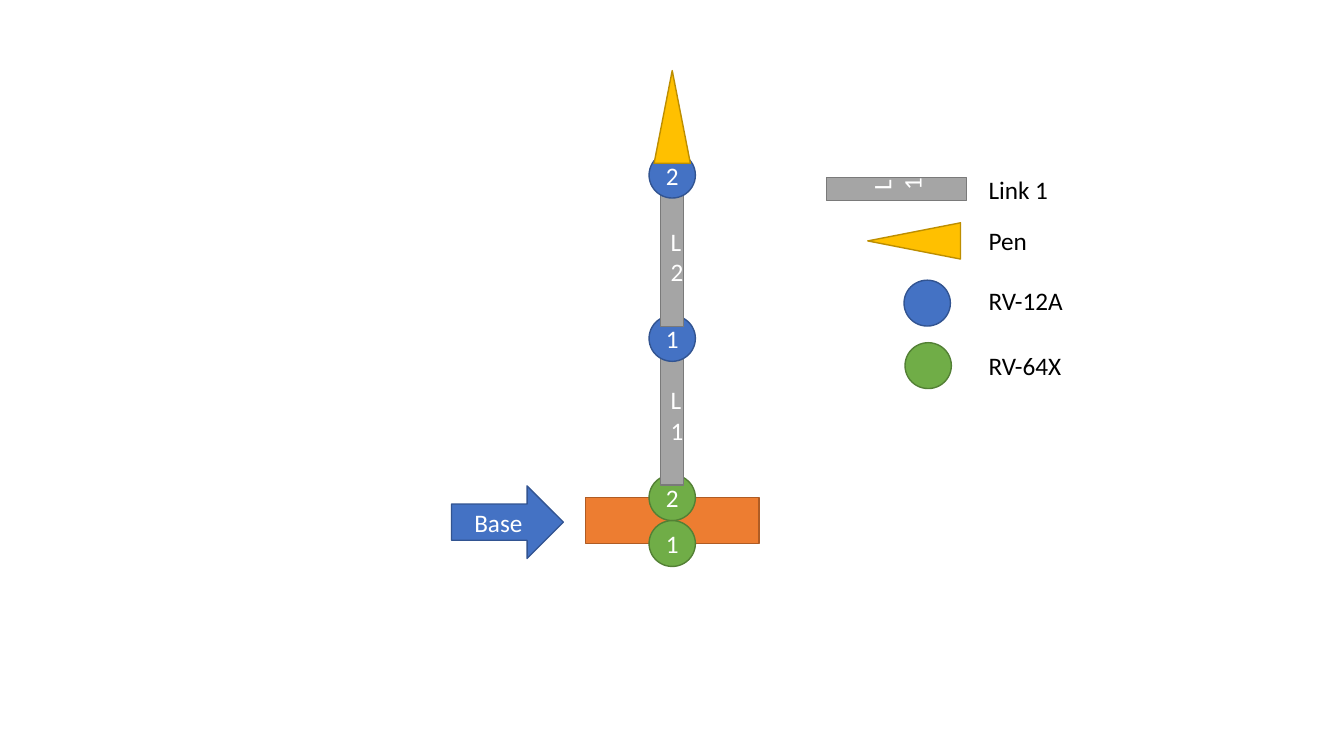
import pptx
import pptx.util
import pptx.dml.color
import pptx.enum.shapes
import pptx.enum.text

SHAPE = pptx.enum.shapes.MSO_SHAPE
ALIGN = pptx.enum.text.PP_ALIGN
ANCHOR = pptx.enum.text.MSO_ANCHOR
PX = 4572  # EMU per px, 200 px to the inch


class Theme:
    font, size, line = "Calibri", 18, 1
    white, black = "FFFFFF", "000000"
    # fill and outline
    base = ("ED7D31", "AF5C24")
    green = ("70AD47", "538035")
    blue = ("4472C4", "325491")
    link = ("A5A5A5", "7A7A7A")
    pen = ("FFC000", "BD8E00")


# Part kinds: preset, width, height, colours
PARTS = {
    "base": (SHAPE.RECTANGLE, 344, 91, Theme.base),
    "green": (SHAPE.OVAL, 92, 91, Theme.green),
    "blue": (SHAPE.OVAL, 92, 91, Theme.blue),
    "link": (SHAPE.RECTANGLE, 46, 278, Theme.link),
    "pen": (SHAPE.ISOSCELES_TRIANGLE, 72, 184, Theme.pen),
    "arrow": (SHAPE.RIGHT_ARROW, 222, 144, Theme.blue),
}


def rgb(value):
    return pptx.dml.color.RGBColor.from_string(value)


def write(tf, text, color, align):
    p = tf.paragraphs[0]
    p.alignment = align
    r = p.add_run()
    r.text = text
    r.font.color.rgb = rgb(color)
    style = {"name": Theme.font, "size": pptx.util.Pt(Theme.size)}
    for key, value in style.items():
        setattr(r.font, key, value)


def add_part(s, kind, cx, top, text="", rotation=0):
    """Place a part centred on cx with its top edge at top."""
    preset, w, h, (fill, line) = PARTS[kind]
    sp = s.shapes.add_shape(preset, (cx - w // 2) * PX, top * PX, w * PX, h * PX)
    sp.shadow.inherit = False
    sp.rotation = rotation
    sp.fill.solid()
    sp.fill.fore_color.rgb = rgb(fill)
    sp.line.color.rgb = rgb(line)
    sp.line.width = pptx.util.Pt(Theme.line)
    if text:
        sp.text_frame.vertical_anchor = ANCHOR.MIDDLE
        write(sp.text_frame, text, Theme.white, ALIGN.CENTER)


def add_label(s, x, y, w, text):
    tf = s.shapes.add_textbox(x * PX, y * PX, w * PX, 80 * PX).text_frame
    tf.word_wrap = True
    tf.auto_size = pptx.enum.text.MSO_AUTO_SIZE.SHAPE_TO_FIT_TEXT
    write(tf, text, Theme.black, ALIGN.LEFT)


def add_arm(s, x, y, w):
    """Stack the arm upwards from the base, back to front."""
    stack = [
        ("base", 847, ""),
        ("green", 802, "2"),
        ("green", 893, "1"),
        ("link", 544, "L1"),
        ("blue", 486, "1"),
        ("link", 230, "L2"),
        ("blue", 162, "2"),
        ("pen", 0, ""),
    ]
    for kind, dy, text in stack:
        add_part(s, kind, x + w // 2, y + dy, text)


def add_legend(s, x, y, w):
    """Symbols on the left, labels on the right."""
    label_x = 302
    rows = [  # kind, symbol centre, symbol top, rotation, symbol text, label, label top
        ("link", 139, -100, 270, "L1", "Link 1", 0),
        ("pen", 174, 50, 270, "", "Pen", 102),
        ("blue", 200, 220, 0, "", "RV-12A", 220),
        ("green", 202, 344, 0, "", "RV-64X", 349),
    ]
    for kind, cx, top, rotation, text, label, label_y in rows:
        add_part(s, kind, x + cx, y + top, text, rotation)
        add_label(s, x + label_x, y + label_y, w - label_x, label)


def add_base_pointer(s, x, y, w):
    add_part(s, "arrow", x + w // 2, y, "Base")


def main():
    prs = pptx.Presentation()
    prs.slide_width, prs.slide_height = 2667 * PX, 1500 * PX
    s = prs.slides.add_slide(prs.slide_layouts[6])
    add_arm(s, 1162, 140, 344)
    add_legend(s, 1640, 336, 606)
    add_base_pointer(s, 896, 964, 222)
    prs.save("out.pptx")


if __name__ == "__main__":
    main()
